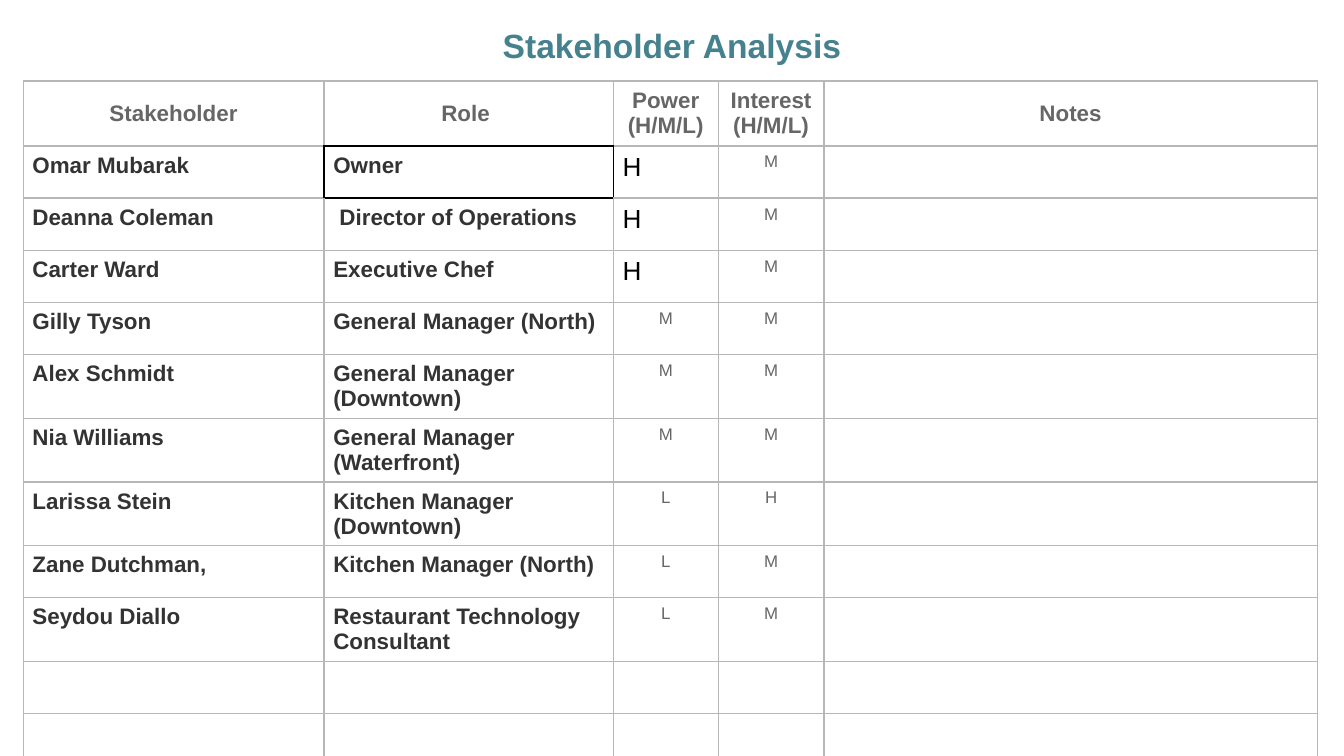
from dataclasses import dataclass
from typing import NamedTuple

from lxml.etree import SubElement as Sub
from pptx import Presentation
from pptx.dml.color import RGBColor as Rgb
from pptx.enum.text import MSO_ANCHOR as Anchor, PP_ALIGN as Align
from pptx.oxml.ns import qn
from pptx.util import Pt


@dataclass(frozen=True)
class Theme:
    font: str = "Arial"
    teal: str = "45818E"
    gray: str = "666666"
    dark: str = "333333"
    black: str = "000000"
    rule: str = "B7B7B7"
    title: float = 18
    body: float = 12
    big: float = 14
    small: float = 9
    line: float = 0.75


class Style(NamedTuple):
    size: float
    color: str
    bold: bool = False
    align: Align = Align.LEFT


class Person(NamedTuple):
    name: str
    role: str
    power: str
    interest: str


LOOK = Theme()
TITLE = Style(LOOK.title, LOOK.teal, True, Align.CENTER)
HEAD = Style(LOOK.body, LOOK.gray, True, Align.CENTER)
BODY = Style(LOOK.body, LOOK.dark, True)
HIGH = Style(LOOK.big, LOOK.black)
RANK = Style(LOOK.small, LOOK.gray, False, Align.CENTER)

HEADS = ["Stakeholder", "Role ", "Power (H/M/L)", "Interest (H/M/L)", "Notes"]
PEOPLE = [
    Person("Omar Mubarak", "Owner", "H", "M"),
    Person("Deanna Coleman", " Director of Operations", "H", "M"),
    Person("Carter Ward", "Executive Chef", "H", "M"),
    Person("Gilly Tyson", "General Manager (North)", "M", "M"),
    Person("Alex Schmidt", "General Manager (Downtown)", "M", "M"),
    Person("Nia Williams", "General Manager (Waterfront)", "M", "M"),
    Person("Larissa Stein", "Kitchen Manager (Downtown)", "L", "H"),
    Person("Zane Dutchman,", "Kitchen Manager (North)", "L", "M"),
    Person("Seydou Diallo", "Restaurant Technology Consultant", "L", "M"),
]
SPARE = 3
WIDTHS = [161.2, 155, 56.2, 56.7, 264.2]
HEAD_H, ROW_H = 34.8, 27.95
OWNER = (1, 1)
SIDES = {"lnL": (0, -1), "lnR": (0, 1), "lnT": (-1, 0), "lnB": (1, 0)}


def write(para, text: str, style: Style) -> None:
    para.alignment = style.align
    run = para.add_run()
    run.text = text
    font = run.font
    font.name, font.size, font.bold = LOOK.font, Pt(style.size), style.bold
    font.color.rgb = Rgb.from_string(style.color)


def border(cell, row: int, col: int) -> None:
    props = cell._tc.get_or_add_tcPr()
    for side, (down, over) in SIDES.items():
        near = OWNER in ((row, col), (row + down, col + over))
        line = Sub(props, qn(f"a:{side}"), w=str(Pt(LOOK.line)))
        fill = Sub(line, qn("a:solidFill"))
        Sub(fill, qn("a:srgbClr"), val=LOOK.black if near else LOOK.rule)


def pick(row: int, col: int, text: str) -> Style:
    if row == 0:
        return HEAD
    if col < 2:
        return BODY
    return HIGH if col == 2 and text == "H" else RANK


def fill_cell(cell, row: int, col: int, text: str) -> None:
    cell.margin_left = cell.margin_right = Pt(5)
    cell.margin_top = cell.margin_bottom = Pt(3.6)
    cell.vertical_anchor = Anchor.TOP if row else Anchor.MIDDLE
    border(cell, row, col)
    cell.fill.background()
    para = cell.text_frame.paragraphs[0]
    if text:
        write(para, text, pick(row, col, text))
    else:
        Sub(para._p, qn("a:endParaRPr"), sz=str(LOOK.body * 100))


def add_grid(slide) -> None:
    data = [HEADS] + [[*one, ""] for one in PEOPLE] + [[""] * len(HEADS)] * SPARE
    high = HEAD_H + ROW_H * (len(data) - 1)
    frame = slide.shapes.add_table(len(data), len(HEADS), Pt(12.4), Pt(43.4),
                                   Pt(sum(WIDTHS)), Pt(high))
    grid = frame.table
    grid.first_row = grid.horz_banding = False
    for col, width in zip(grid.columns, WIDTHS):
        col.width = Pt(width)
    for row, texts in enumerate(data):
        grid.rows[row].height = Pt(ROW_H if row else HEAD_H)
        for col, text in enumerate(texts):
            fill_cell(grid.cell(row, col), row, col, text)


def add_title(slide, text: str) -> None:
    box = slide.shapes.add_textbox(Pt(59.8), Pt(2.9), Pt(600.4), Pt(36))
    frame = box.text_frame
    frame.word_wrap = True
    frame.margin_left = frame.margin_right = Pt(7.2)
    frame.margin_top = frame.margin_bottom = Pt(7.2)
    para = frame.paragraphs[0]
    para.line_spacing = 1.15
    write(para, text, TITLE)


def main() -> None:
    """Build the stakeholder analysis slide."""
    deck = Presentation()
    deck.slide_width, deck.slide_height = Pt(720), Pt(405)
    slide = deck.slides.add_slide(deck.slide_layouts[6])
    add_grid(slide)
    add_title(slide, "Stakeholder Analysis")
    deck.save("out.pptx")


if __name__ == "__main__":
    main()
